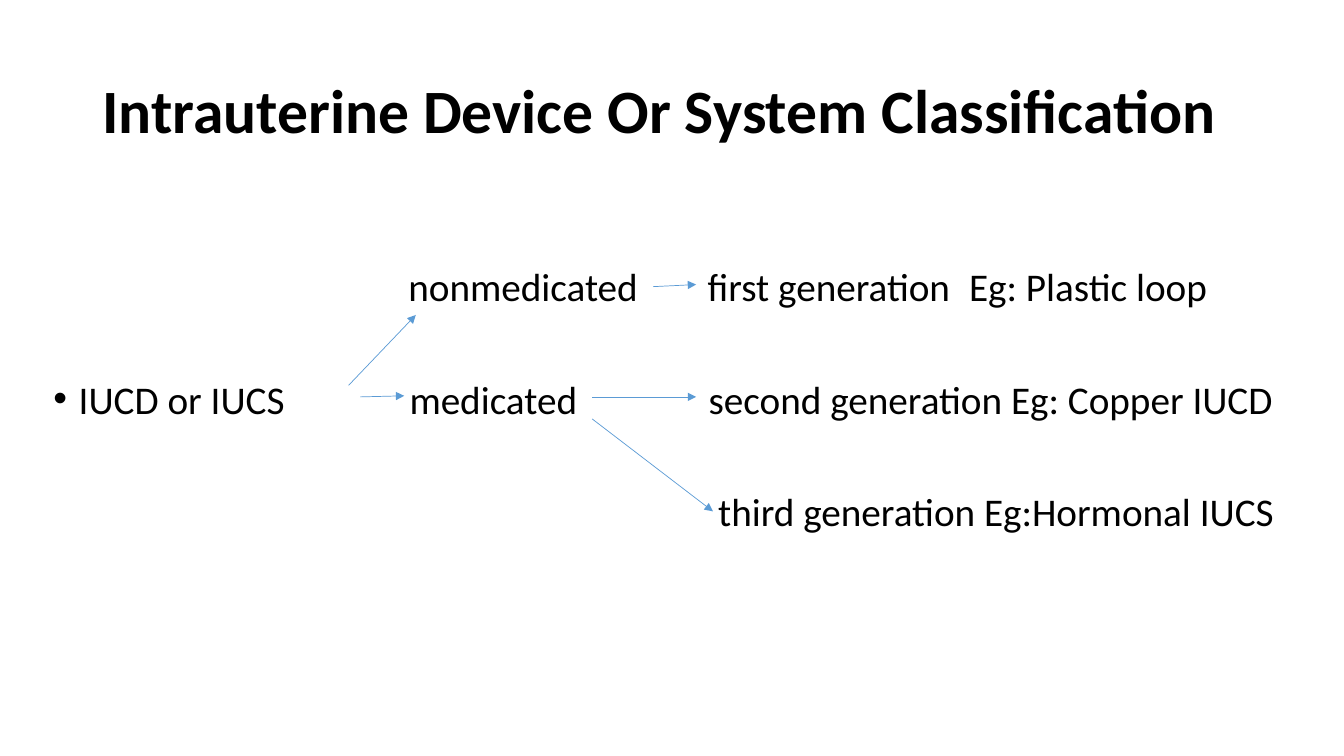
from lxml import etree
from pptx import Presentation
from pptx.dml.color import RGBColor
from pptx.enum.shapes import MSO_CONNECTOR
from pptx.enum.text import MSO_ANCHOR, MSO_AUTO_SIZE, PP_ALIGN
from pptx.oxml.ns import qn
from pptx.util import Emu, Pt

BLACK = RGBColor(0x00, 0x00, 0x00)
BLUE = RGBColor(0x5B, 0x9B, 0xD5)
FONT = "Calibri"
LABEL_HEIGHT = 46
FIRST_ROW = 250
ROW_STEP = 107
BULLET_INDENT = 24

LABELS = [
    ("nonmedicated", 389, 0, 240),
    ("first generation", 674, 0, 245),
    ("Eg: Plastic loop", 923, 0, 260),
    ("medicated", 390, 1, 180),
    ("second generation Eg: Copper IUCD", 675, 1, 580),
    ("third generation Eg:Hormonal IUCS", 684, 2, 580),
]
ARROWS = [
    ((332, 367), (396, 300)),
    ((343, 378), (385, 377)),
    ((622, 273), (663, 271)),
    ((564, 378), (663, 378)),
    ((564, 399), (679, 487)),
]


def px(length):
    return Emu(length * 9525)


def format_paragraph(para, size, bold=False):
    para.alignment = PP_ALIGN.LEFT
    para.font.name = FONT
    para.font.size = Pt(size)
    para.font.bold = bold
    para.font.color.rgb = BLACK


def set_title(page, text):
    title = page.shapes.title
    title.left, title.top = px(88), px(39)
    title.width, title.height = px(1104), px(139)
    frame = title.text_frame
    frame.text = text
    frame.word_wrap = True
    frame.auto_size = MSO_AUTO_SIZE.NONE
    frame.vertical_anchor = MSO_ANCHOR.MIDDLE
    para = frame.paragraphs[0]
    para.line_spacing = 0.9
    format_paragraph(para, 44, bold=True)


def add_label(page, text, left, row, width):
    top = FIRST_ROW + row * ROW_STEP
    box = page.shapes.add_textbox(px(left), px(top), px(width), px(LABEL_HEIGHT))
    frame = box.text_frame
    frame.word_wrap = True
    frame.margin_left = frame.margin_right = 0
    frame.margin_top = frame.margin_bottom = 0
    frame.text = text
    para = frame.paragraphs[0]
    format_paragraph(para, 28)
    return para


def add_bullet(para):
    properties = para._p.get_or_add_pPr()
    properties.set("marL", str(px(BULLET_INDENT)))
    properties.set("indent", str(-px(BULLET_INDENT)))
    bullet_font = etree.Element(qn("a:buFont"), typeface="Arial")
    bullet = etree.Element(qn("a:buChar"), char="•")
    properties.insert(0, bullet_font)
    properties.insert(1, bullet)


def add_arrow(page, start, end):
    arrow = page.shapes.add_connector(
        MSO_CONNECTOR.STRAIGHT, *map(px, start), *map(px, end)
    )
    arrow.line.color.rgb = BLUE
    arrow.line.width = Pt(0.5)
    etree.SubElement(arrow.line._get_or_add_ln(), qn("a:tailEnd"), type="triangle")
    etree.SubElement(arrow._element.spPr, qn("a:effectLst"))


def main():
    deck = Presentation()
    deck.slide_width, deck.slide_height = px(1280), px(720)
    page = deck.slides.add_slide(deck.slide_layouts[5])
    set_title(page, "Intrauterine Device Or System Classification")
    add_bullet(add_label(page, "IUCD or IUCS", 51, 1, 270))
    for label in LABELS:
        add_label(page, *label)
    for start, end in ARROWS:
        add_arrow(page, start, end)
    deck.save("out.pptx")


if __name__ == "__main__":
    main()
